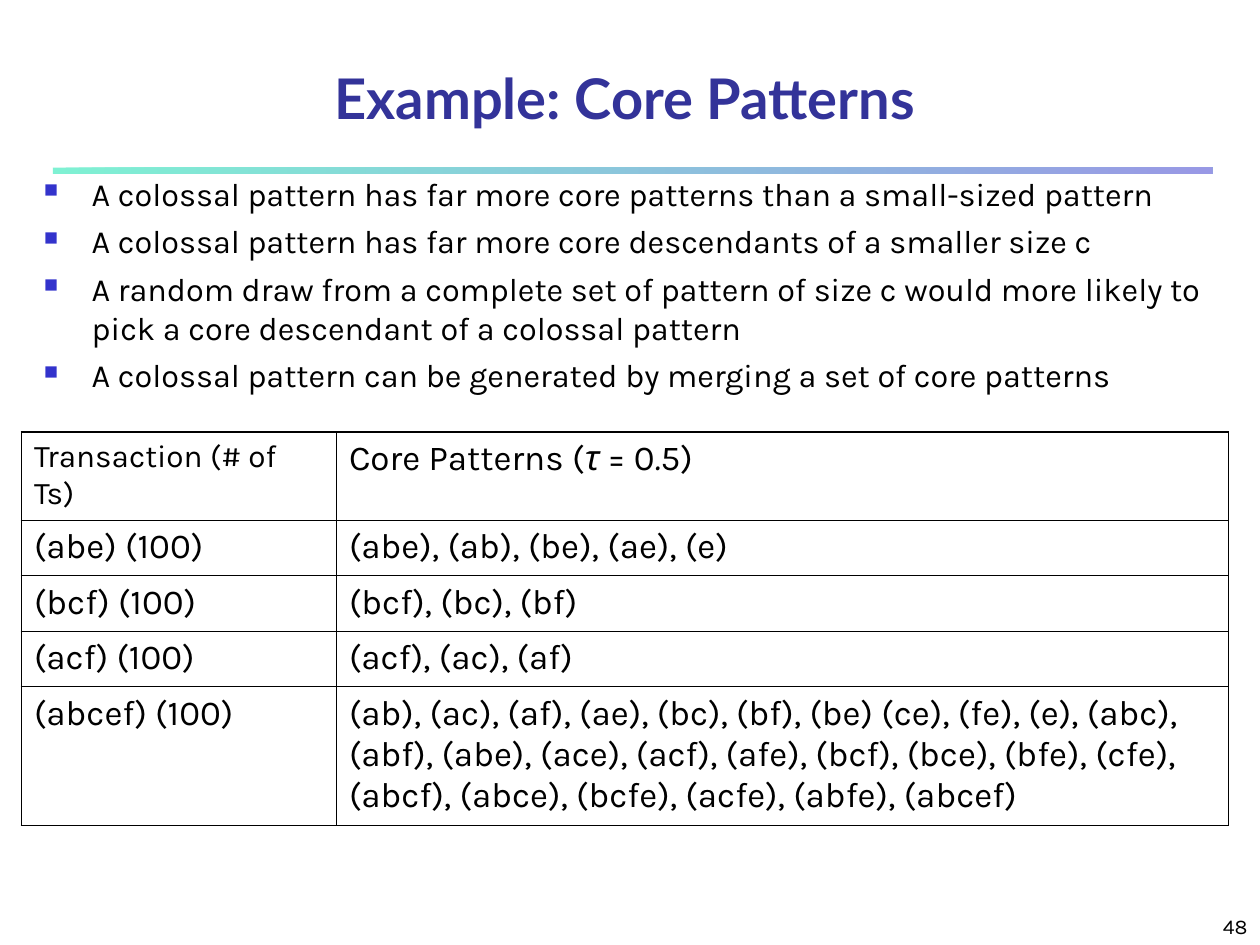
from dataclasses import dataclass

from lxml import etree
from pptx import Presentation
from pptx import util as u
from pptx.dml.color import RGBColor
from pptx.enum import shapes, text
from pptx.oxml import ns


@dataclass(frozen=True)
class Theme:
    ink: str = "000000"
    title: str = "333399"
    bullet: str = "3333CC"
    mint: str = "00E4A8"
    title_font: str = "Lato"
    body_font: str = "Karla"
    title_size: float = 32
    body_size: float = 18.5
    header_size: float = 18
    cell_size: float = 20
    number_size: float = 12
    outer_line: float = 1.08
    inner_line: float = 0.45


THEME = Theme()

POINTS = [
    "A colossal pattern has far more core patterns than a small-sized pattern",
    "A colossal pattern has far more core descendants of a smaller size c",
    "A random draw from a complete set of pattern of size c would more likely to "
    "pick a core descendant of a colossal pattern",
    "A colossal pattern can be generated by merging a set of core patterns",
]
ROWS = [
    ("Transaction (# of Ts)",
     [("Core Patterns (", False), ("τ ", True), ("= 0", False), (".", True), ("5)", False)]),
    ("(abe) (100)", "(abe), (ab), (be), (ae), (e)"),
    ("(bcf) (100)", "(bcf), (bc), (bf)"),
    ("(acf) (100)", "(acf), (ac), (af)"),
    ("(abcef) (100)",
     "(ab), (ac), (af), (ae), (bc), (bf), (be) (ce), (fe), (e), (abc), "
     "(abf), (abe), (ace), (acf), (afe), (bcf), (bce), (bfe), (cfe), "
     "(abcf), (abce), (bcfe), (acfe), (abfe), (abcef)"),
]
COLUMN_WIDTHS = [2.5, 7.08]
ROW_HEIGHTS = [0.7, 0.44, 0.44, 0.44, 1.1]


def inches(*lengths):
    return [u.Inches(length) for length in lengths]


def add_xml(parent, tag, **attributes):
    return etree.SubElement(parent, ns.qn(tag), attributes)


def write(para, content, size=THEME.cell_size, font=THEME.body_font, color=THEME.ink,
          bold=False, align=text.PP_ALIGN.LEFT, before=0):
    para.alignment = align
    para.space_before = u.Pt(before)
    spans = [(content, False)] if isinstance(content, str) else content
    for words, italic in spans:
        span = para.add_run()
        span.text = words
        span.font.size = u.Pt(size)
        span.font.name = font
        span.font.bold = bold
        span.font.italic = italic
        span.font.color.rgb = RGBColor.from_string(color)


def set_bullet(para):
    properties = para._p.get_or_add_pPr()
    properties.set("marL", str(u.Inches(0.38)))
    properties.set("indent", str(u.Inches(-0.38)))
    color = add_xml(properties, "a:buClr")
    add_xml(color, "a:srgbClr", val=THEME.bullet)
    add_xml(properties, "a:buSzPct", val="60000")
    add_xml(properties, "a:buChar", char="■")


def set_borders(cell, widths):
    properties = cell._tc.get_or_add_tcPr()
    for index, (side, width) in enumerate(zip("LRTB", widths)):
        line = etree.Element(ns.qn(f"a:ln{side}"), w=str(u.Pt(width)))
        fill = add_xml(line, "a:solidFill")
        add_xml(fill, "a:srgbClr", val=THEME.ink)
        properties.insert(index, line)


def place_title(page, content):
    title = page.shapes.title
    title.left, title.top, title.width, title.height = inches(0.42, 0.42, 9.08, 0.67)
    title.text_frame.vertical_anchor = text.MSO_ANCHOR.BOTTOM
    write(title.text_frame.paragraphs[0], content, size=THEME.title_size,
          font=THEME.title_font, color=THEME.title, bold=True, align=text.PP_ALIGN.CENTER)


def add_rule(page):
    rule = page.shapes.add_shape(shapes.MSO_SHAPE.RECTANGLE, *inches(0.42, 1.33, 9.2, 0.05))
    rule.shadow.inherit = False
    rule.line.fill.background()
    rule.fill.gradient()
    rule.fill.gradient_angle = 0
    for stop, position, color in zip(rule.fill.gradient_stops, (0, 1),
                                     (THEME.mint, THEME.bullet)):
        stop.position = position
        stop.color.rgb = RGBColor.from_string(color)
    for color in rule._element.spPr.iter(ns.qn("a:srgbClr")):
        add_xml(color, "a:alpha", val="50000")


def add_box(page, *place, anchor=text.MSO_ANCHOR.TOP):
    frame = page.shapes.add_textbox(*inches(*place)).text_frame
    frame.word_wrap = True
    frame.vertical_anchor = anchor
    return frame


def add_points(page, points):
    frame = add_box(page, 0.25, 1.33, 9.5, 2)
    for index, point in enumerate(points):
        para = frame.add_paragraph() if index else frame.paragraphs[0]
        write(para, point, size=THEME.body_size, before=5)
        set_bullet(para)


def add_pattern_table(page):
    table = page.shapes.add_table(len(ROWS), len(COLUMN_WIDTHS),
                                  *inches(0.17, 3.43, 9.58, sum(ROW_HEIGHTS))).table
    table.first_row = False
    table.horz_banding = False
    for column, width in zip(table.columns, COLUMN_WIDTHS):
        column.width = u.Inches(width)
    for row, height in zip(table.rows, ROW_HEIGHTS):
        row.height = u.Inches(height)
    last_row, last_column = len(ROWS) - 1, len(COLUMN_WIDTHS) - 1
    for r, contents in enumerate(ROWS):
        for c, content in enumerate(contents):
            cell = table.cell(r, c)
            cell.fill.background()
            is_corner = r == 0 and c == 0
            write(cell.text_frame.paragraphs[0], content,
                  size=THEME.header_size if is_corner else THEME.cell_size,
                  before=4.5 if is_corner else 5)
            edges = (c == 0, c == last_column, r == 0, r == last_row)
            set_borders(cell, [THEME.outer_line if edge else THEME.inner_line
                               for edge in edges])


def add_page_number(page, number):
    frame = add_box(page, 7.92, 7.08, 2.08, 0.42, anchor=text.MSO_ANCHOR.BOTTOM)
    write(frame.paragraphs[0], number, size=THEME.number_size, align=text.PP_ALIGN.RIGHT)


def main():
    deck = Presentation()
    deck.slide_width, deck.slide_height = inches(10, 7.5)
    page = deck.slides.add_slide(deck.slide_layouts[5])
    add_rule(page)
    add_page_number(page, "48")
    place_title(page, "Example: Core Patterns")
    add_points(page, POINTS)
    add_pattern_table(page)
    deck.save("out.pptx")


if __name__ == "__main__":
    main()
